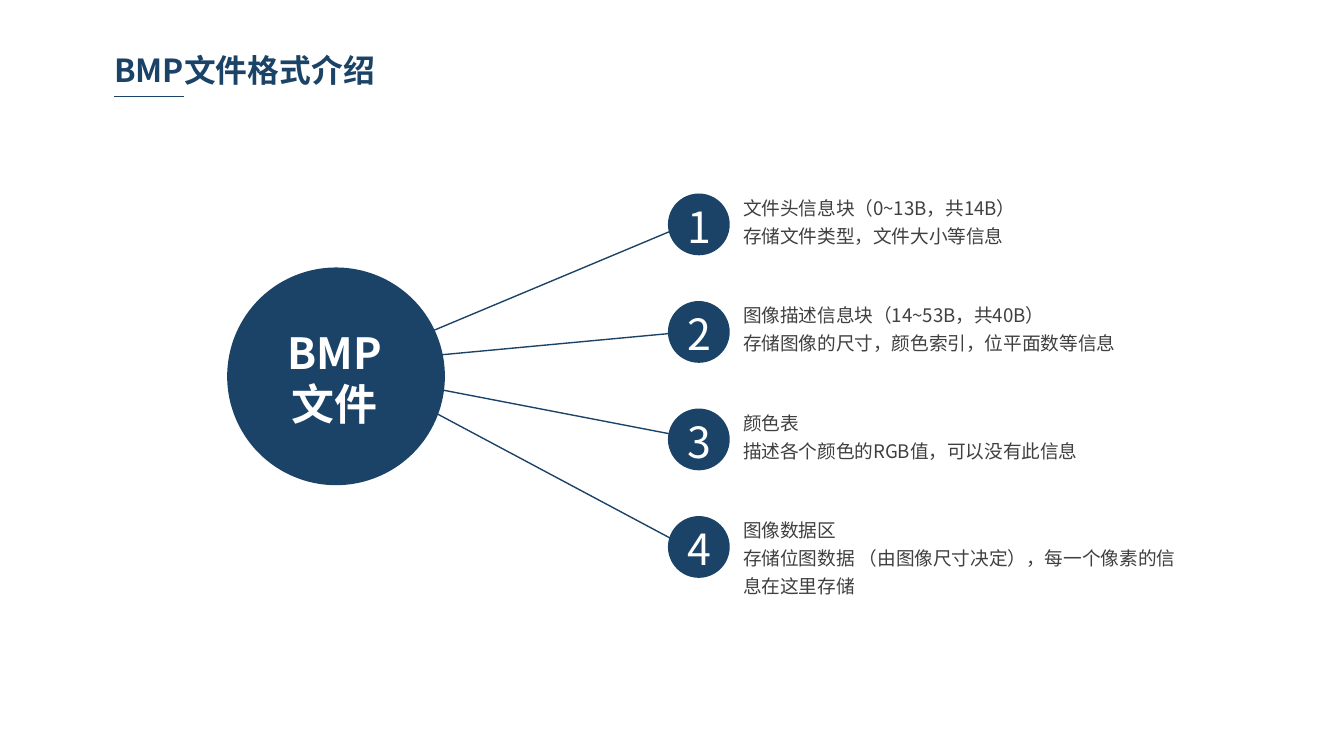
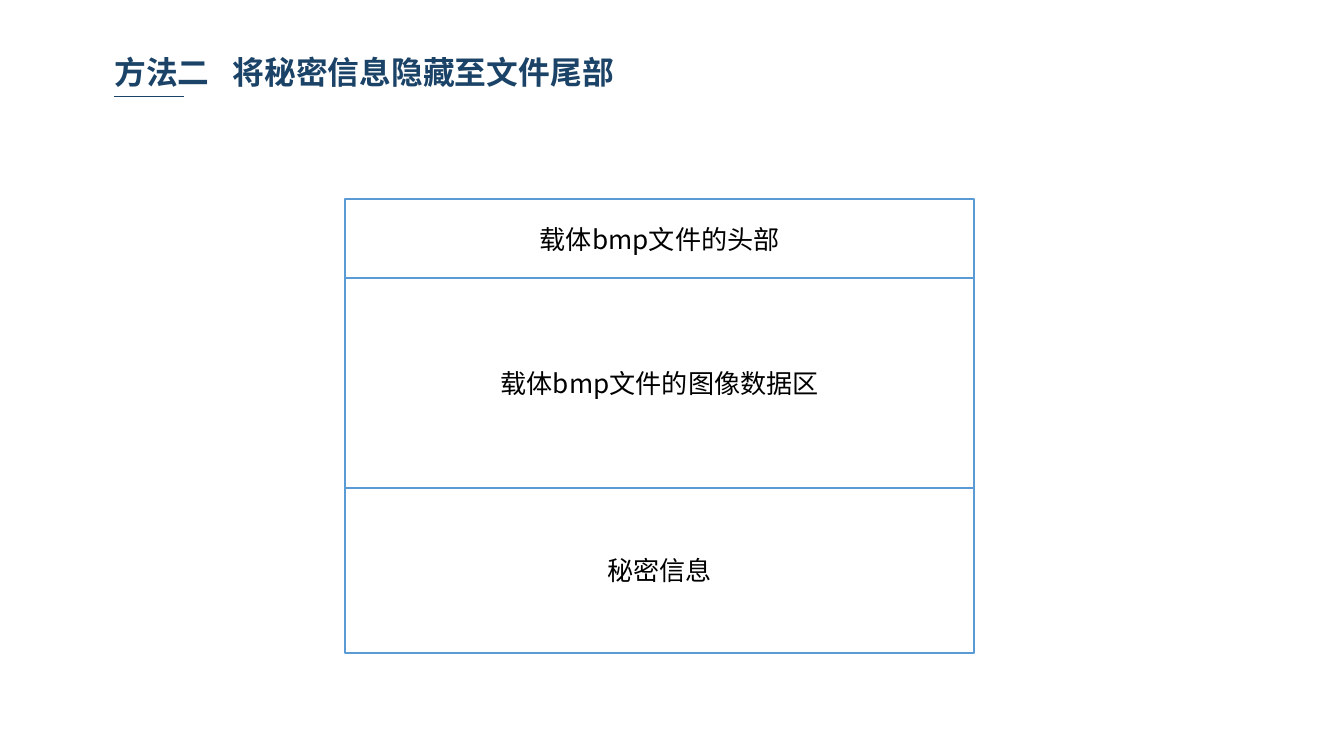
import pptx
import pptx.dml.color
import pptx.enum.shapes
import pptx.enum.text
import pptx.oxml.ns
import pptx.util
from lxml import etree
from pptx.util import Inches

COLORS = {
    "navy": "1B4367",
    "white": "FFFFFF",
    "gray": "404040",
    "black": "000000",
    "border": "5B9BD5",
}
FONT = "Noto Sans CJK SC"
NARROW_INSETS = (0.07, 0.04)
DEFAULT_INSETS = (0.1, 0.05)

ELLIPSE = pptx.enum.shapes.MSO_SHAPE.OVAL
RECTANGLE = pptx.enum.shapes.MSO_SHAPE.RECTANGLE
LEFT = pptx.enum.text.PP_ALIGN.LEFT
CENTER = pptx.enum.text.PP_ALIGN.CENTER
TOP = pptx.enum.text.MSO_ANCHOR.TOP
MIDDLE = pptx.enum.text.MSO_ANCHOR.MIDDLE

FORMAT_BLOCKS = [
    (["文件头信息块（0~13B，共14B）", "存储文件类型，文件大小等信息"], 0.5),
    (["图像描述信息块（14~53B，共40B）", "存储图像的尺寸，颜色索引，位平面数等信息"], 0.5),
    (["颜色表", "描述各个颜色的RGB值，可以没有此信息"], 0.5),
    (["图像数据区", "存储位图数据 （由图像尺寸决定），每一个像素的信息在这里存储"], 0.71),
]
SPOKES = [
    ((2.65, 2.7), (5.11, 1.67)),
    ((2.64, 2.7), (5.11, 2.47)),
    ((2.71, 2.79), (5.2, 3.27)),
    ((2.71, 2.79), (5.11, 4.07)),
]
FILE_PARTS = [
    ("载体bmp文件的头部", 0.59),
    ("载体bmp文件的图像数据区", 1.56),
    ("秘密信息", 1.23),
]


def color(name):
    return pptx.dml.color.RGBColor.from_string(COLORS[name])


def write_text(shape, lines, size, color_name, bold=False, align=LEFT,
               anchor=TOP, insets=DEFAULT_INSETS, line_spacing=None, tab_stop=None):
    frame = shape.text_frame
    frame.word_wrap = True
    frame.vertical_anchor = anchor
    frame.margin_left = frame.margin_right = Inches(insets[0])
    frame.margin_top = frame.margin_bottom = Inches(insets[1])
    frame.text = "\n".join(lines)
    for paragraph in frame.paragraphs:
        paragraph.alignment = align
        if line_spacing:
            paragraph.line_spacing = pptx.util.Pt(line_spacing)
        font = paragraph.font
        font.size = pptx.util.Pt(size)
        font.bold = bold
        font.color.rgb = color(color_name)
        font.name = FONT
        defaults = paragraph._p.pPr.find(pptx.oxml.ns.qn("a:defRPr"))
        etree.SubElement(defaults, pptx.oxml.ns.qn("a:ea")).set("typeface", FONT)
        if tab_stop:
            tabs = etree.Element(pptx.oxml.ns.qn("a:tabLst"))
            tab = etree.SubElement(tabs, pptx.oxml.ns.qn("a:tab"))
            tab.set("pos", str(Inches(tab_stop)))
            tab.set("algn", "l")
            defaults.addprevious(tabs)


def add_text(shapes, box, lines, size, color_name, **style):
    text_box = shapes.add_textbox(*map(Inches, box))
    write_text(text_box, lines, size, color_name, **style)
    text_box.text_frame.auto_size = pptx.enum.text.MSO_AUTO_SIZE.SHAPE_TO_FIT_TEXT


def add_figure(shapes, kind, box, fill, border=None):
    shape = shapes.add_shape(kind, *map(Inches, box))
    shape.shadow.inherit = False
    shape.fill.solid()
    shape.fill.fore_color.rgb = color(fill)
    if border:
        shape.line.color.rgb = color(border)
        shape.line.width = pptx.util.Pt(1)
    else:
        shape.line.fill.background()
    return shape


def add_line(slide, start, end):
    connector = slide.shapes.add_connector(
        pptx.enum.shapes.MSO_CONNECTOR.STRAIGHT, *map(Inches, start + end))
    connector.line.color.rgb = color("navy")
    connector.line.width = pptx.util.Pt(0.75)
    etree.SubElement(connector._element.spPr, pptx.oxml.ns.qn("a:effectLst"))


def add_title(slide, text, top, width, tab_stop=None):
    add_text(slide.shapes, (0.78, top, width, 0.36), [text], 17, "navy", bold=True,
             insets=NARROW_INSETS, tab_stop=tab_stop)
    add_line(slide, (0.85, 0.72), (1.37, 0.72))


def add_disc(slide, box, text_box, text, bold=False):
    left, top, diameter = box
    text_left, text_top, width, height = text_box
    group = slide.shapes.add_group_shape()
    add_figure(group.shapes, ELLIPSE, (left, top, diameter, diameter), "navy")
    add_text(group.shapes, (left + text_left, top + text_top, width, height),
             [text], 23, "white", bold=bold, align=CENTER)


def add_format_block(slide, left, top, number, lines, height):
    add_disc(slide, (left, top, 0.46), (0.01, 0, 0.45, 0.49), str(number))
    add_text(slide.shapes, (left + 0.49, top - 0.06, 3.4, height), lines, 10, "gray",
             insets=NARROW_INSETS, line_spacing=15)


def add_file_stack(slide, left, top, width):
    for text, height in FILE_PARTS:
        part = add_figure(slide.shapes, RECTANGLE, (left, top, width, height),
                          "white", "border")
        write_text(part, [text], 14, "black", align=CENTER, anchor=MIDDLE)
        top += height


def build_format_slide(slide):
    for start, end in SPOKES:
        add_line(slide, start, end)
    for index, (lines, height) in enumerate(FORMAT_BLOCKS):
        add_format_block(slide, 4.97, 1.44 + 0.8 * index, index + 1, lines, height)
    add_disc(slide, (1.69, 1.99, 1.62), (0.32, 0.39, 0.96, 0.87), "BMP文件", bold=True)
    add_title(slide, "BMP文件格式介绍", 0.34, 2.47)


def build_tail_slide(slide):
    add_title(slide, "方法二\t将秘密信息隐藏至文件尾部", 0.35, 3.99, tab_stop=0.88)
    add_file_stack(slide, 2.57, 1.48, 4.68)


def main():
    presentation = pptx.Presentation()
    presentation.slide_width = Inches(10)
    presentation.slide_height = presentation.slide_width * 9 // 16
    for build in (build_format_slide, build_tail_slide):
        build(presentation.slides.add_slide(presentation.slide_layouts[6]))
    presentation.save("out.pptx")


if __name__ == "__main__":
    main()
